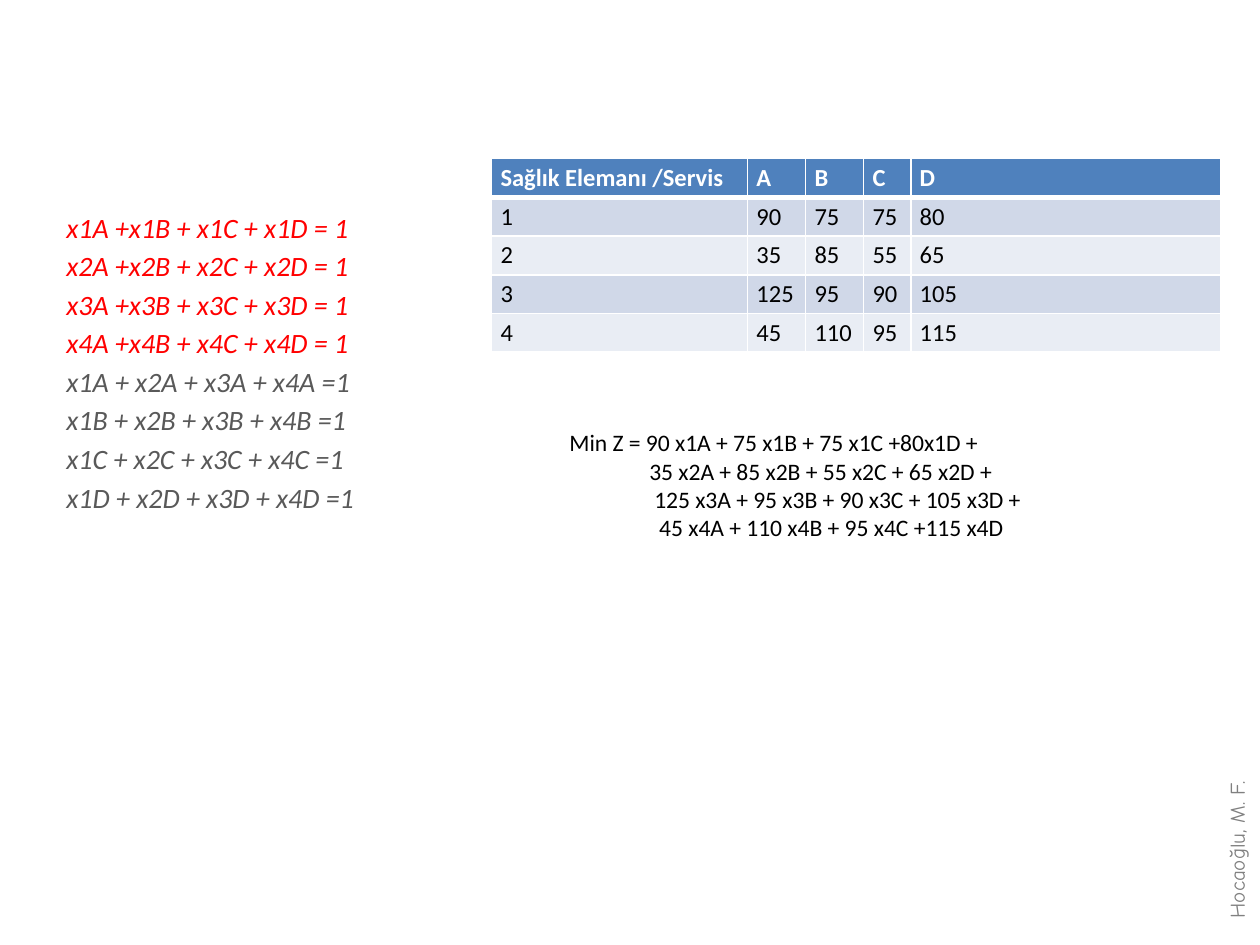
from typing import NamedTuple

from pptx import Presentation
from pptx import util as u
from pptx.dml.color import RGBColor
from pptx.enum import text
from pptx.oxml import ns
from lxml import etree

WHITE = RGBColor(0xFF, 0xFF, 0xFF)
BLACK = RGBColor(0x00, 0x00, 0x00)
RED = RGBColor(0xFF, 0x00, 0x00)
DARK_GRAY = RGBColor(0x59, 0x59, 0x59)
GRAY = RGBColor(0x80, 0x80, 0x80)
HEADER_BLUE = RGBColor(0x4F, 0x81, 0xBD)
BANDS = (RGBColor(0xD0, 0xD8, 0xE8), RGBColor(0xE9, 0xED, 0xF4))

COLUMN_WIDTHS = (5.16, 1.17, 1.17, 0.95, 6.25)
ROW_HEIGHT = 0.78
COSTS = (
    ("Sağlık Elemanı /Servis", "A", "B", "C", "D"),
    ("1", "90", "75", "75", "80"),
    ("2", "35", "85", "55", "65"),
    ("3", "125", "95", "90", "105"),
    ("4", "45", "110", "95", "115"),
)


class Line(NamedTuple):
    words: str
    color: RGBColor
    indent: float = 0


class Box(NamedTuple):
    left: float
    top: float
    width: float
    height: float


CONSTRAINTS = [
    Line("x1A +x1B + x1C + x1D = 1", RED),
    Line("x2A +x2B + x2C + x2D = 1", RED),
    Line("x3A +x3B + x3C + x3D = 1", RED),
    Line("x4A +x4B + x4C + x4D = 1", RED),
    Line("x1A + x2A + x3A + x4A =1", DARK_GRAY),
    Line("x1B + x2B + x3B + x4B =1", DARK_GRAY),
    Line("x1C + x2C + x3C + x4C =1", DARK_GRAY),
    Line("x1D + x2D + x3D + x4D =1", DARK_GRAY),
]
OBJECTIVE = [
    Line("Min Z = 90 x1A + 75 x1B + 75 x1C +80x1D +", BLACK),
    Line("35 x2A + 85 x2B + 55 x2C + 65 x2D +", BLACK, 1.61),
    Line("125 x3A + 95 x3B + 90 x3C + 105 x3D +", BLACK, 1.71),
    Line("45 x4A + 110 x4B + 95 x4C +115 x4D", BLACK, 1.81),
]
AUTHOR = [Line("Hocaoğlu, M. F.", GRAY)]


def write(p, words: str, *, size: float, color: RGBColor, font: str = "Calibri",
          bold: bool = False, italic: bool = False, indent: float = 0) -> None:
    if indent:
        p._p.get_or_add_pPr().set("marL", str(u.Cm(indent)))
    p.alignment = text.PP_ALIGN.LEFT
    r = p.add_run()
    r.text = words
    r.font.name = font
    r.font.size = u.Pt(size)
    r.font.bold = bold
    r.font.italic = italic
    r.font.color.rgb = color


def add_text(s, box: Box, lines: list[Line], *, space: float = 0,
             rotation: float = 0, **style) -> None:
    sp = s.shapes.add_textbox(*map(u.Cm, box))
    sp.rotation = rotation
    tf = sp.text_frame
    tf.word_wrap = True
    for i, line in enumerate(lines):
        p = tf.add_paragraph() if i else tf.paragraphs[0]
        if i and space:
            p.space_before = u.Pt(space)
        write(p, line.words, color=line.color, indent=line.indent, **style)


def set_borders(cell, widths: dict[str, float]) -> None:
    tc_pr = cell._tc.get_or_add_tcPr()
    for side, width in widths.items():
        ln = etree.SubElement(tc_pr, ns.qn(f"a:ln{side}"), w=str(u.Pt(width)))
        fill = etree.SubElement(ln, ns.qn("a:solidFill"))
        etree.SubElement(fill, ns.qn("a:srgbClr"), val=str(WHITE))


def add_cost_table(s, left: float, top: float) -> None:
    rows = len(COSTS)
    table = s.shapes.add_table(
        rows, len(COLUMN_WIDTHS), u.Cm(left), u.Cm(top),
        u.Cm(sum(COLUMN_WIDTHS)), u.Cm(ROW_HEIGHT * rows)).table
    for column, width in zip(table.columns, COLUMN_WIDTHS):
        column.width = u.Cm(width)
    for i, values in enumerate(COSTS):
        header = i == 0
        table.rows[i].height = u.Cm(ROW_HEIGHT)
        for j, value in enumerate(values):
            cell = table.cell(i, j)
            cell.margin_left = cell.margin_right = u.Cm(0.18)
            cell.margin_top = cell.margin_bottom = u.Cm(0.09)
            set_borders(cell, {"L": 1, "R": 1, "T": 3 if i == 1 else 1,
                               "B": 3 if header else 1})
            cell.fill.solid()
            cell.fill.fore_color.rgb = HEADER_BLUE if header else BANDS[(i - 1) % 2]
            write(cell.text_frame.paragraphs[0], value, size=14, bold=header,
                  color=WHITE if header else BLACK)


def main() -> None:
    prs = Presentation()
    prs.slide_width, prs.slide_height = u.Cm(25.4), u.Cm(19.05)
    s = prs.slides.add_slide(prs.slide_layouts[6])
    add_text(s, Box(22.86, 16.31, 4.14, 0.76), AUTHOR, rotation=270,
             size=12, font="Comic Neue")
    add_text(s, Box(1.09, 4.11, 23.34, 13.56), CONSTRAINTS, space=2.85,
             size=16, italic=True)
    add_cost_table(s, 9.91, 3.2)
    add_text(s, Box(11.23, 8.51, 9.68, 3.15), OBJECTIVE, size=13.5)
    prs.save("out.pptx")


if __name__ == "__main__":
    main()
